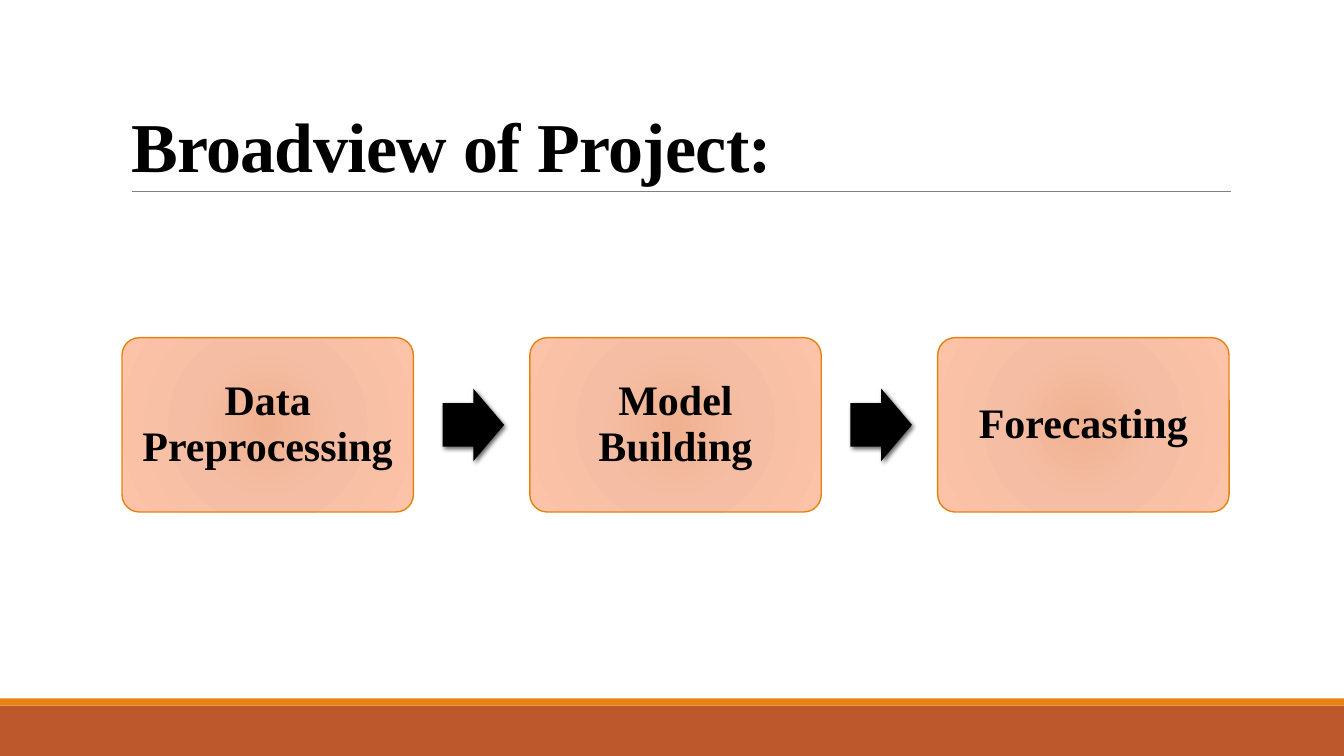
import pptx
import pptx.util
import pptx.dml.color
import pptx.enum.shapes
import pptx.enum.text
import pptx.oxml

Inches, Pt = pptx.util.Inches, pptx.util.Pt
SHAPE = pptx.enum.shapes.MSO_SHAPE
ALIGN = pptx.enum.text.PP_ALIGN
ANCHOR = pptx.enum.text.MSO_ANCHOR

# Content
HEADING = "Broadview of Project:"
STAGES = ["Data Preprocessing", "Model Building", "Forecasting"]

# Look
FONT = "Times New Roman"
COLORS = {"text": "000000", "arrow": "000000", "rule": "808080",
          "footer": "BD582C", "accent": "E48312"}
STAGE_GRADIENT = [(0, "F0B191"), (45, "F5BEA4"), (100, "FDC3A8")]
DRAWING_NS = 'xmlns:a="http://schemas.openxmlformats.org/drawingml/2006/main"'

# Layout, in inches
SLIDE_W, SLIDE_H = 13.33, 7.5
STAGE_LEFT, STAGE_TOP, STAGE_W, STAGE_H = 1.21, 3.35, 2.89, 1.73
STAGE_PITCH = 4.045
ARROW_W, ARROW_H, ARROW_GAP = 0.61, 0.72, 0.29


def color(name):
    return pptx.dml.color.RGBColor.from_string(COLORS[name])


def write(frame, text, size, align, anchor, spacing, inset=None, tracking=None):
    frame.word_wrap = True
    frame.auto_size = pptx.enum.text.MSO_AUTO_SIZE.NONE
    frame.vertical_anchor = anchor
    if inset is not None:
        frame.margin_left = frame.margin_right = Inches(inset)
        frame.margin_top = frame.margin_bottom = Inches(inset)
    paragraph = frame.paragraphs[0]
    paragraph.alignment = align
    paragraph.line_spacing = spacing
    run = paragraph.add_run()
    run.text = text
    run.font.name, run.font.size, run.font.bold = FONT, Pt(size), True
    run.font.color.rgb = color("text")
    if tracking is not None:
        run.font._element.set("spc", str(int(tracking * 100)))


def add_block(kind, left, top, width, height, fill=None):
    block = slide.shapes.add_shape(
        kind, Inches(left), Inches(top), Inches(width), Inches(height))
    block.shadow.inherit = False
    block.line.fill.background()
    if fill:
        block.fill.solid()
        block.fill.fore_color.rgb = color(fill)
    return block


def fill_radial(shape, stops):
    shape.fill.gradient()
    linear = shape._element.spPr.find(pptx.oxml.ns.qn("a:gradFill"))
    stop_xml = "".join(f'<a:gs pos="{pos * 1000}"><a:srgbClr val="{rgb}"/></a:gs>'
                       for pos, rgb in stops)
    radial = pptx.oxml.parse_xml(
        f'<a:gradFill {DRAWING_NS} rotWithShape="1"><a:gsLst>{stop_xml}</a:gsLst>'
        '<a:path path="circle"><a:fillToRect l="100000" t="100000" r="100000" '
        'b="100000"/></a:path></a:gradFill>')
    linear.getparent().replace(linear, radial)


def cast_shadow(shape):
    effects = shape._element.spPr.find(pptx.oxml.ns.qn("a:effectLst"))
    effects.append(pptx.oxml.parse_xml(
        f'<a:outerShdw {DRAWING_NS} blurRad="{Pt(3.5)}" dist="{Pt(2)}" dir="2700000" '
        'algn="ctr" rotWithShape="0"><a:srgbClr val="000000"><a:alpha val="60000"/>'
        '</a:srgbClr></a:outerShdw>'))


deck = pptx.Presentation()
deck.slide_width, deck.slide_height = Inches(SLIDE_W), Inches(SLIDE_H)
slide = deck.slides.add_slide(deck.slide_layouts.get_by_name("Title Only"))

# Footer bands
add_block(SHAPE.RECTANGLE, 0, 7, SLIDE_W, 0.5, "footer")
add_block(SHAPE.RECTANGLE, 0, 6.93, SLIDE_W, 0.07, "accent")

# Heading and the rule below it
heading = slide.shapes.title
heading.left, heading.top = Inches(1.2), Inches(0.31)
heading.width, heading.height = Inches(11), Inches(1.59)
write(heading.text_frame, HEADING, size=50, align=ALIGN.LEFT,
      anchor=ANCHOR.BOTTOM, spacing=0.85, tracking=-0.5)

rule = slide.shapes.add_connector(
    pptx.enum.shapes.MSO_CONNECTOR.STRAIGHT,
    Inches(1.31), Inches(1.9), Inches(12.21), Inches(1.9))
rule.line.color.rgb = color("rule")
rule.line.width = Pt(0.5)
rule._element.spPr.append(pptx.oxml.parse_xml(f"<a:effectLst {DRAWING_NS}/>"))

# Stages, with an arrow leading to each next one
for index, label in enumerate(STAGES):
    left = STAGE_LEFT + index * STAGE_PITCH
    stage = add_block(SHAPE.ROUNDED_RECTANGLE, left, STAGE_TOP, STAGE_W, STAGE_H)
    stage.adjustments[0] = 0.1
    fill_radial(stage, STAGE_GRADIENT)
    stage.line.color.rgb = color("accent")
    stage.line.width = Pt(1)
    write(stage.text_frame, label, size=30, align=ALIGN.CENTER,
          anchor=ANCHOR.MIDDLE, spacing=0.9, inset=0.12)
    if index < len(STAGES) - 1:
        arrow = add_block(SHAPE.RIGHT_ARROW, left + STAGE_W + ARROW_GAP,
                          STAGE_TOP + (STAGE_H - ARROW_H) / 2,
                          ARROW_W, ARROW_H, "arrow")
        arrow.adjustments[0], arrow.adjustments[1] = 0.6, 0.5
        cast_shadow(arrow)

deck.save("out.pptx")
